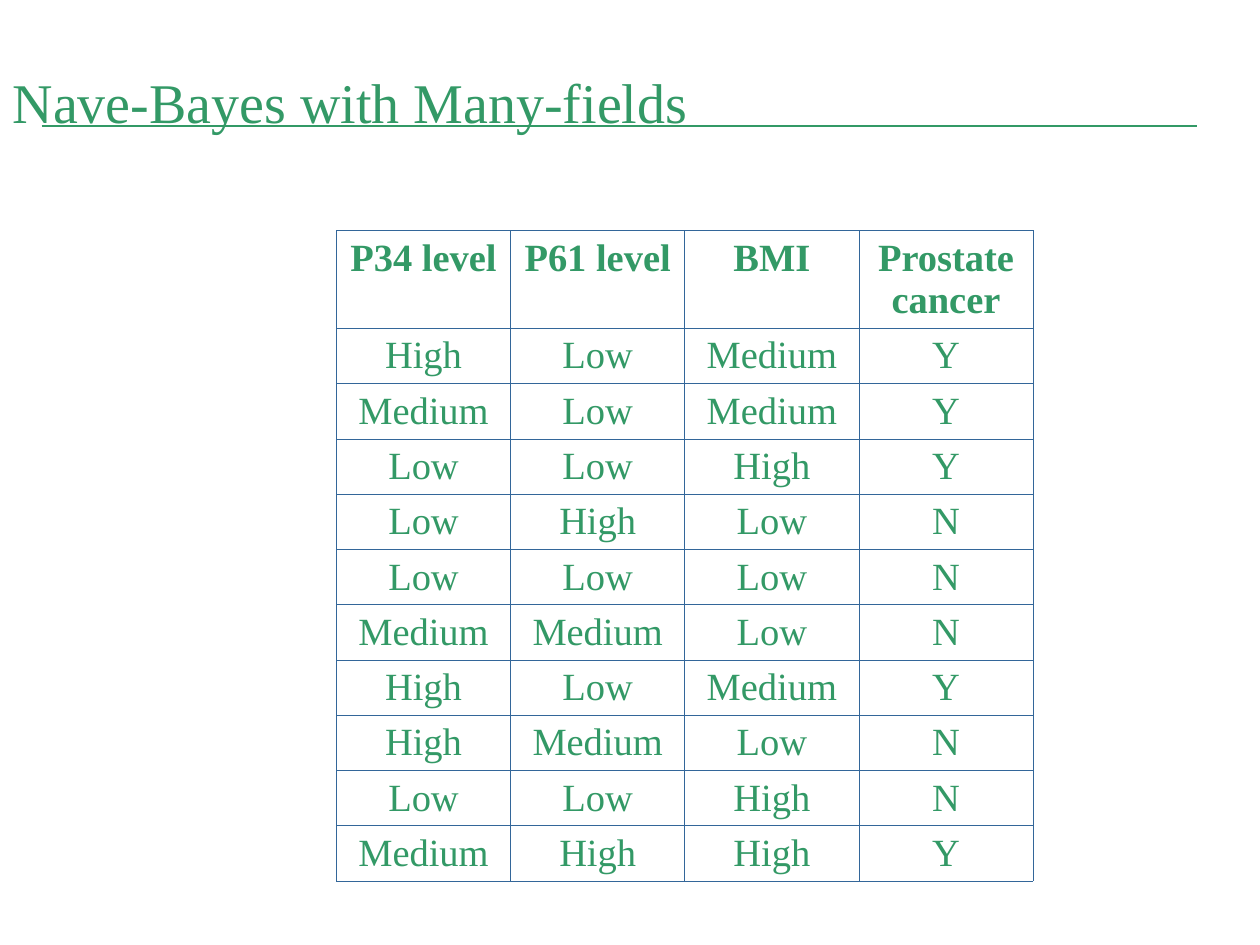
from dataclasses import dataclass

from lxml import etree
from pptx import Presentation
from pptx.dml.color import RGBColor
from pptx.enum.shapes import MSO_CONNECTOR
from pptx.enum.text import MSO_ANCHOR, MSO_AUTO_SIZE, PP_ALIGN
from pptx.oxml.ns import qn
from pptx.util import Inches, Pt

STRAIGHT = MSO_CONNECTOR.STRAIGHT
MIDDLE = MSO_ANCHOR.MIDDLE
NO_FIT = MSO_AUTO_SIZE.NONE
LEFT = PP_ALIGN.LEFT
CENTER = PP_ALIGN.CENTER


@dataclass(frozen=True)
class Theme:
    font: str = "Times New Roman"
    green: str = "339966"
    blue: str = "336699"
    white: str = "FFFFFF"
    title: int = 32
    body: int = 22
    rule: float = 1
    edge: float = 0.45


theme = Theme()


def style(font, size, bold=False):
    font.name = theme.font
    font.size = Pt(size)
    font.bold = bold
    font.color.rgb = RGBColor.from_string(theme.green)


def border(cell):
    props = cell._tc.get_or_add_tcPr()
    for side in ("a:lnL", "a:lnR", "a:lnT", "a:lnB"):
        line = etree.SubElement(props, qn(side), w=str(Pt(theme.edge)))
        fill = etree.SubElement(line, qn("a:solidFill"))
        etree.SubElement(fill, qn("a:srgbClr"), val=theme.blue)


deck = Presentation()
deck.slide_width = Inches(10)
deck.slide_height = Inches(7.5)
slide = deck.slides.add_slide(deck.slide_layouts[5])

title = slide.shapes.title
title.left, title.top = Inches(0), Inches(0)
title.width, title.height = Inches(10), Inches(1.7)
frame = title.text_frame
frame.text = "Nave-Bayes with Many-fields"
frame.auto_size = NO_FIT
frame.vertical_anchor = MIDDLE
para = frame.paragraphs[0]
para.alignment = LEFT
para.line_spacing = 0.8
style(para.runs[0].font, theme.title)

rule = slide.shapes.add_connector(
    STRAIGHT, Inches(0.33), Inches(1), Inches(9.5), Inches(1)
)
rule.line.color.rgb = RGBColor.from_string(theme.green)
rule.line.width = Pt(theme.rule)
etree.SubElement(rule._element.spPr, qn("a:effectLst"))

cases = [
    ("P34 level", "P61 level", "BMI", "Prostate cancer"),
    ("High", "Low", "Medium", "Y"),
    ("Medium", "Low", "Medium", "Y"),
    ("Low", "Low", "High", "Y"),
    ("Low", "High", "Low", "N"),
    ("Low", "Low", "Low", "N"),
    ("Medium", "Medium", "Low", "N"),
    ("High", "Low", "Medium", "Y"),
    ("High", "Medium", "Low", "N"),
    ("Low", "Low", "High", "N"),
    ("Medium", "High", "High", "Y"),
]
table = slide.shapes.add_table(
    len(cases), len(cases[0]),
    Inches(2.67), Inches(1.83), Inches(5.53), Inches(4.41),
).table
table.horz_banding = False

for row, case in enumerate(cases):
    table.rows[row].height = Inches(0.37 if row else 0.73)
    for col, value in enumerate(case):
        cell = table.cell(row, col)
        border(cell)
        cell.fill.solid()
        cell.fill.fore_color.rgb = RGBColor.from_string(theme.white)
        cell.text_frame.text = value
        para = cell.text_frame.paragraphs[0]
        para.alignment = CENTER
        style(para.runs[0].font, theme.body, row == 0)

deck.save("out.pptx")
